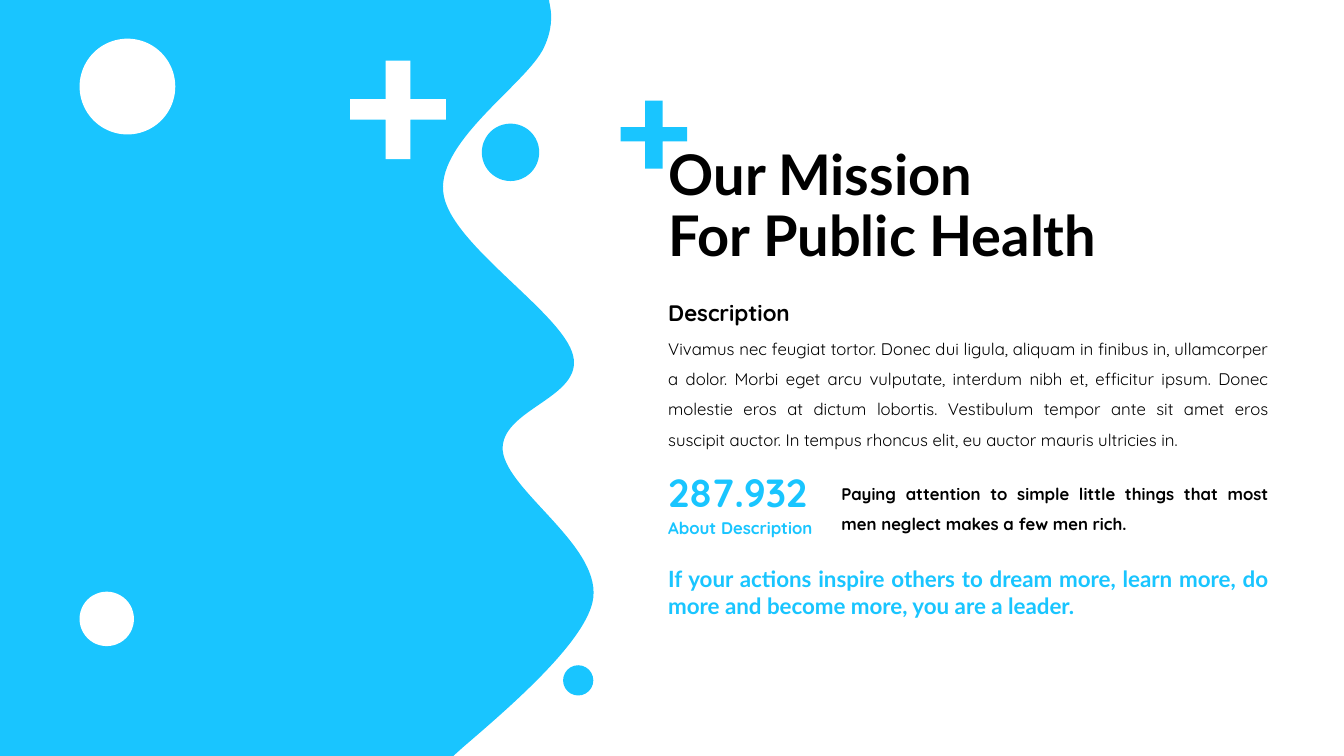
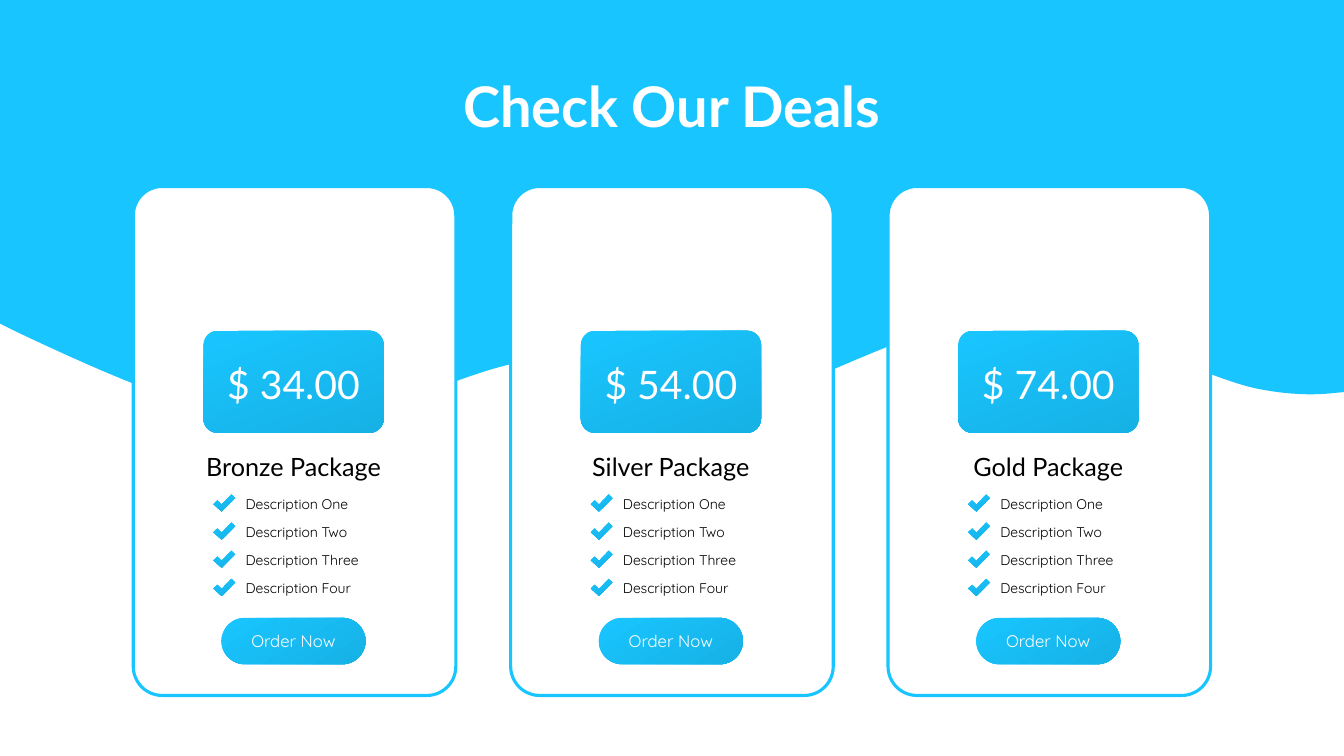
from pptx import Presentation
from pptx.dml.color import RGBColor
from pptx.enum.shapes import MSO_SHAPE as Preset
from pptx.enum.text import MSO_ANCHOR as Anchor, MSO_AUTO_SIZE as AutoSize, PP_ALIGN as Align
from pptx.oxml.ns import qn
from pptx.oxml.xmlchemy import OxmlElement
from pptx.util import Inches, Pt

# Shared look
WIDTH, HEIGHT = Inches(13.34), Inches(7.5)
COLORS = {"sky": "19C5FF", "deep": "16B1E5", "white": "FFFFFF", "black": "000000"}
HEADING, BODY = "Lato", "Quicksand"
TITLE_ONLY = 5

# Outlines as shares of their own box
PLUS = [(0.37, 0), (0.63, 0), (0.63, 0.39), (1, 0.39), (1, 0.6), (0.63, 0.6),
        (0.63, 1), (0.37, 1), (0.37, 0.6), (0, 0.6), (0, 0.39), (0.37, 0.39)]
TICK = [(0.38, 1), (0, 0.57), (0.18, 0.35), (0.38, 0.6), (0.83, 0), (1, 0.22)]

# Waves in percent of the slide: two numbers make a corner, six a Bezier curve
SIDE_WAVE = [
    (0, 0), (40.85, 0), (40.93, 0.8),
    (41.08, 2.13, 41.08, 4, 40.48, 6.27),
    (39.28, 10.93, 32.61, 18.53, 32.98, 25.33),
    (33.28, 32.13, 41.9, 41.33, 42.65, 47.07),
    (43.4, 52.67, 37.18, 54.13, 37.41, 59.6),
    (37.71, 65.07, 45.05, 72.53, 44.08, 79.73),
    (43.33, 85.2, 38.08, 93.33, 34.48, 98.8),
    (33.73, 100), (0, 100),
]
TOP_WAVE = [
    (0, 0), (100, 0), (100, 51.87), (99.18, 52),
    (97.83, 52.27, 96.03, 52.27, 93.7, 51.47),
    (89.06, 49.87, 81.41, 41.47, 74.66, 41.87),
    (67.84, 42.27, 58.7, 53.2, 53, 54.13),
    (47.23, 55.07, 45.88, 47.33, 40.4, 47.6),
    (34.93, 47.87, 27.44, 57.2, 20.24, 56),
    (14.77, 55.07, 6.6, 48.4, 1.2, 43.87),
    (0, 42.8),
]

# Deals
PACKAGES = [("Bronze Package", "$ 34.00"), ("Silver Package", "$ 54.00"),
            ("Gold Package", "$ 74.00")]
FEATURES = ["Description One", "Description Two", "Description Three", "Description Four"]
FIRST_CENTER, CARD_STEP = 21.84, 28.08
FIRST_FEATURE, FEATURE_STEP = 64.87, 3.72


def across(percent):
    return round(WIDTH * percent / 100)


def down(percent):
    return round(HEIGHT * percent / 100)


def place(left, top, width, height):
    """Turn shares of the slide into lengths."""
    return across(left), down(top), across(width), down(height)


def centered(center, top, width, height):
    return center - width / 2, top, width, height


def color(name):
    return RGBColor.from_string(COLORS[name])


def paint(shape, fill, line=None, angle=None):
    """Fill plainly, or with the sky gradient when an angle is given."""
    shape.shadow.inherit = False
    if angle is None:
        shape.fill.solid()
        shape.fill.fore_color.rgb = color(fill)
    else:
        shape.fill.gradient()
        shape.fill.gradient_angle = 360 - angle
        for stop, name in zip(shape.fill.gradient_stops, (fill, "deep")):
            stop.color.rgb = color(name)
    if line:
        shape.line.color.rgb = color(line)
        shape.line.width = Pt(2.25)
    else:
        shape.line.fill.background()


def write(frame, lines, size, font, ink, bold=False, align=Align.LEFT, spacing=None):
    """Write one paragraph, one run per line."""
    frame.word_wrap = True
    paragraph = frame.paragraphs[0]
    paragraph.alignment = align
    if spacing:
        paragraph.line_spacing = spacing
    for index, line in enumerate(lines):
        if index:
            paragraph.add_line_break()
        run = paragraph.add_run()
        run.text = line
        run.font.name, run.font.size, run.font.bold = font, Pt(size), bold
        run.font.color.rgb = color(ink)


def add_text(slide, box, text, size, font=BODY, ink="black", anchor=Anchor.TOP, **style):
    frame = slide.shapes.add_textbox(*place(*box)).text_frame
    frame.auto_size = AutoSize.SHAPE_TO_FIT_TEXT
    frame.vertical_anchor = anchor
    write(frame, [text], size, font, ink, **style)


def add_title(slide, box, lines, ink, align):
    title = slide.shapes.title
    title.left, title.top, title.width, title.height = place(*box)
    title.text_frame.auto_size = AutoSize.NONE
    title.text_frame.vertical_anchor = Anchor.MIDDLE
    write(title.text_frame, lines, 40, HEADING, ink, bold=True, align=align, spacing=0.9)
    # Bring the title in front of the wave
    title.element.getparent().append(title.element)


def add_preset(slide, preset, box, fill, adjust=None, **look):
    shape = slide.shapes.add_shape(preset, *place(*box))
    if adjust is not None:
        shape.adjustments[0] = adjust
    paint(shape, fill, **look)
    return shape


def add_circle(slide, left, top, diameter, fill):
    add_preset(slide, Preset.OVAL, (left, top, diameter, diameter * WIDTH / HEIGHT), fill)


def add_outline(slide, points, fill, **look):
    corners = [(across(x), down(y)) for x, y in points]
    builder = slide.shapes.build_freeform(*corners[0])
    builder.add_line_segments(corners[1:], close=True)
    shape = builder.convert_to_shape()
    paint(shape, fill, **look)
    return shape


def add_icon(slide, outline, box, fill, **look):
    left, top, width, height = box
    points = [(left + x * width, top + y * height) for x, y in outline]
    add_outline(slide, points, fill, **look)


def add_wave(slide, segments):
    """Outline the wave by its end points, then bend the curved sides."""
    shape = add_outline(slide, [segment[-2:] for segment in segments], "sky")
    sides = list(shape.element.iter(qn("a:lnTo")))
    for side, segment in zip(sides, segments[1:]):
        if len(segment) == 2:
            continue
        curve = OxmlElement("a:cubicBezTo")
        for x, y in zip(segment[::2], segment[1::2]):
            point = OxmlElement("a:pt")
            point.set("x", str(across(x)))
            point.set("y", str(down(y)))
            curve.append(point)
        side.getparent().replace(side, curve)


def add_button(slide, box, text, size, font, adjust, angle, inset=0.05):
    shape = add_preset(slide, Preset.ROUNDED_RECTANGLE, box, "sky", adjust, angle=angle)
    frame = shape.text_frame
    frame.vertical_anchor = Anchor.MIDDLE
    frame.margin_top = Inches(inset)
    write(frame, [text], size, font, "white", align=Align.CENTER)


def add_card(slide, center, name, price):
    add_preset(slide, Preset.ROUNDED_RECTANGLE, centered(center + 0.08, 24.67, 24, 67.33),
               "white", 0.09, line="sky")
    add_button(slide, centered(center, 43.73, 13.42, 13.53), price, 28, HEADING,
               0.14, 70, inset=0.1)
    add_text(slide, centered(center, 59.03, 18.37, 5.33), name, 18, HEADING,
             align=Align.CENTER)
    for row, feature in enumerate(FEATURES):
        top = FIRST_FEATURE + row * FEATURE_STEP
        add_icon(slide, TICK, (center - 5.96, top + 0.53, 1.61, 2.27), "sky", angle=70)
        add_text(slide, (center - 4.31, top, 10.42, 3.6), feature, 10)
    add_button(slide, centered(center, 81.73, 10.72, 6.13), "Order Now", 12, BODY, 0.5, 60)


def build_mission(slide):
    # Wave and ornaments
    add_wave(slide, SIDE_WAVE)
    add_icon(slide, PLUS, (46.18, 13.3, 4.95, 9), "sky")
    add_icon(slide, PLUS, (26.05, 8.03, 7.12, 13), "white")
    for circle in [(5.92, 78.27, 4.05, "white"), (5.92, 5.12, 7.12, "white"),
                   (41.9, 88, 2.25, "sky"), (35.85, 16.35, 4.27, "sky")]:
        add_circle(slide, *circle)

    # Text column
    left, width = 48.98, 46.18
    justified = {"align": Align.JUSTIFY}
    loose = {"align": Align.JUSTIFY, "spacing": 1.5}
    add_title(slide, (left + 0.03, 17.8, 38.16, 19.33), ["Our Mission ", "For Public Health"],
              "black", Align.LEFT)
    add_text(slide, (left, 37.1, 22.19, 6.67), "Description", 16, bold=True, **loose)
    add_text(slide, (left, 42.8, width, 17.33),
             "Vivamus nec feugiat tortor. Donec dui ligula, aliquam in finibus in, "
             "ullamcorper a dolor. Morbi eget arcu vulputate, interdum nibh et, efficitur "
             "ipsum. Donec molestie eros at dictum lobortis. Vestibulum tempor ante sit "
             "amet eros suscipit auctor. In tempus rhoncus elit, eu auctor mauris "
             "ultricies in.", 12, **loose)

    # Key figure and closing quote
    add_text(slide, (left, 61.25, 17.24, 7.6), "287.932", 28, ink="sky",
             anchor=Anchor.MIDDLE, bold=True, **justified)
    add_text(slide, (left, 67.87, 12.89, 4), "About Description", 12, ink="sky",
             anchor=Anchor.MIDDLE, bold=True, **justified)
    add_text(slide, (61.87, 61.97, 33.28, 9.33),
             "Paying attention to simple little things that most men neglect makes "
             "a few men rich.", 12, bold=True, **loose)
    add_text(slide, (left, 74.1, width, 8.53),
             "If your actions inspire others to dream more, learn more, do more and "
             "become more, you are a leader.", 16, HEADING, "sky", bold=True, **justified)


def build_deals(slide):
    add_wave(slide, TOP_WAVE)
    for column, package in enumerate(PACKAGES):
        add_card(slide, FIRST_CENTER + column * CARD_STEP, *package)
    add_title(slide, (20.64, 4.8, 58.7, 19.33), ["Check Our Deals"], "white", Align.CENTER)


def main():
    presentation = Presentation()
    presentation.slide_width, presentation.slide_height = WIDTH, HEIGHT
    for build in (build_mission, build_deals):
        build(presentation.slides.add_slide(presentation.slide_layouts[TITLE_ONLY]))
    presentation.save("out.pptx")


main()
